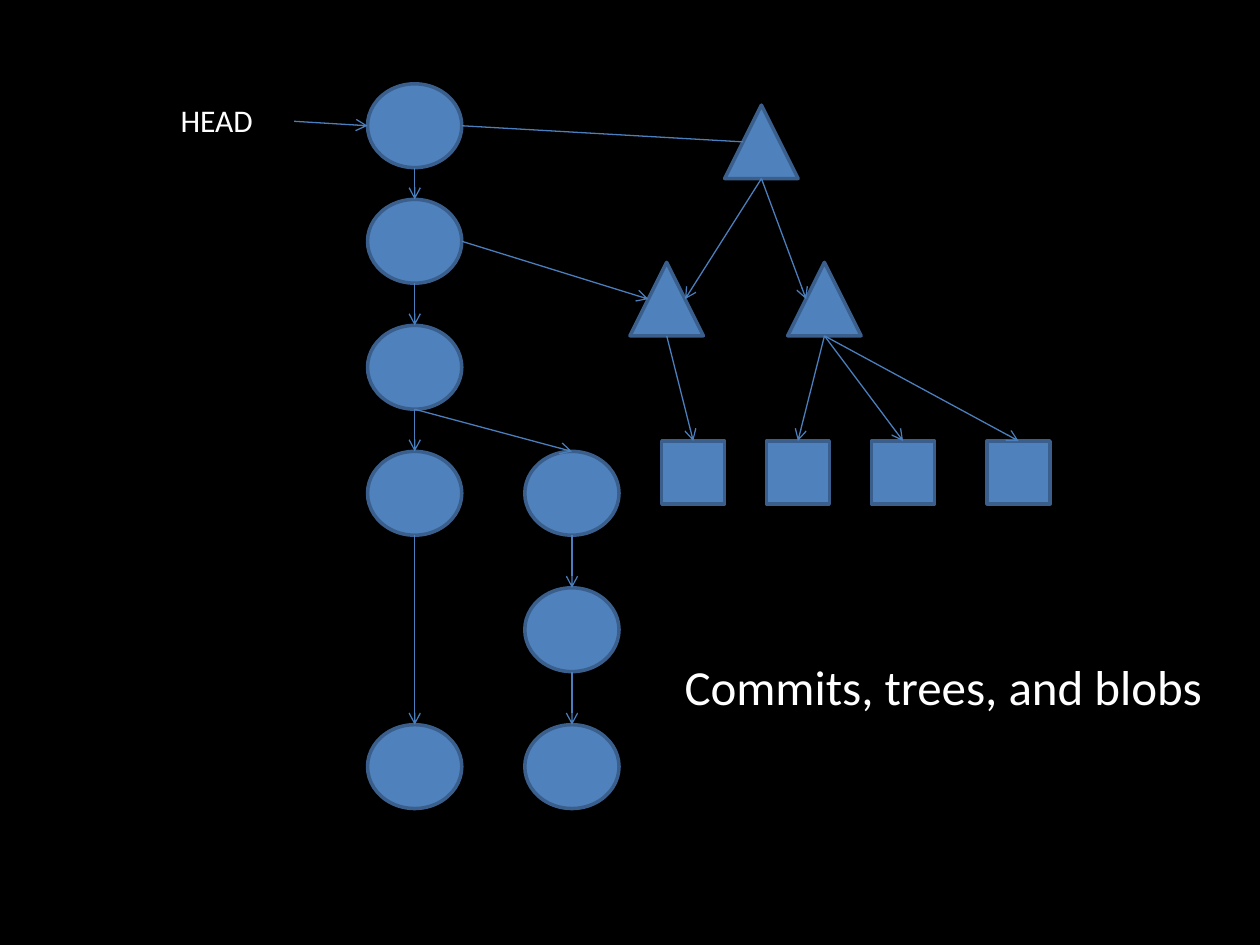
from dataclasses import dataclass

from pptx import Presentation
from pptx.dml.color import RGBColor
from pptx.enum.shapes import MSO_CONNECTOR, MSO_SHAPE
from pptx.enum.text import MSO_AUTO_SIZE
from pptx.oxml.ns import qn
from pptx.util import Cm, Pt
from lxml import etree

OVAL = MSO_SHAPE.OVAL
TRIANGLE = MSO_SHAPE.ISOSCELES_TRIANGLE
SQUARE = MSO_SHAPE.RECTANGLE
STRAIGHT = MSO_CONNECTOR.STRAIGHT
FIT_SHAPE = MSO_AUTO_SIZE.SHAPE_TO_FIT_TEXT

# Anchors as fractions of a shape's width and height
TOP, BOTTOM, LEFT, RIGHT = (0.5, 0), (0.5, 1), (0, 0.5), (1, 0.5)
SLOPE_LEFT, SLOPE_RIGHT = (0.25, 0.5), (0.75, 0.5)


@dataclass(frozen=True)
class Theme:
    background: RGBColor = RGBColor(0x00, 0x00, 0x00)
    text: RGBColor = RGBColor(0xFF, 0xFF, 0xFF)
    fill: RGBColor = RGBColor(0x4F, 0x81, 0xBD)
    outline: RGBColor = RGBColor(0x3A, 0x5F, 0x8C)
    arrow: RGBColor = RGBColor(0x4B, 0x7E, 0xBC)
    font: str = "Calibri"
    title_size: Pt = Pt(28)
    label_size: Pt = Pt(18)


THEME = Theme()
NODE_SIZES = {OVAL: (1.9, 1.69), TRIANGLE: (1.48, 1.48), SQUARE: (1.27, 1.27)}


def add_node(s, kind, x, y):
    w, h = NODE_SIZES[kind]
    sp = s.shapes.add_shape(kind, Cm(x), Cm(y), Cm(w), Cm(h))
    sp.shadow.inherit = False
    sp.fill.solid()
    sp.fill.fore_color.rgb = THEME.fill
    sp.line.color.rgb = THEME.outline
    sp.line.width = Pt(2)
    return sp


def add_text(s, text, x, y, w, h, size=THEME.label_size, color=THEME.text):
    sp = s.shapes.add_textbox(Cm(x), Cm(y), Cm(w), Cm(h))
    tf = sp.text_frame
    tf.word_wrap = True
    tf.auto_size = FIT_SHAPE
    r = tf.paragraphs[0].add_run()
    r.text = text
    r.font.name = THEME.font
    r.font.size = size
    r.font.color.rgb = color
    return sp


def anchor_point(sp, anchor):
    fx, fy = anchor
    return int(sp.left + fx * sp.width), int(sp.top + fy * sp.height)


def link(s, start, end, leave=BOTTOM, enter=TOP, arrow=True):
    """Draw a line between anchors of two shapes, with an arrowhead at the end."""
    cxn = s.shapes.add_connector(
        STRAIGHT, *anchor_point(start, leave), *anchor_point(end, enter))
    cxn.line.color.rgb = THEME.arrow
    cxn.line.width = Pt(0.75)
    if arrow:
        etree.SubElement(cxn.line._get_or_add_ln(), qn("a:tailEnd"), type="arrow")
    etree.SubElement(cxn._element.spPr, qn("a:effectLst"))


def link_chain(s, nodes):
    for start, end in zip(nodes, nodes[1:]):
        link(s, start, end)


def main():
    prs = Presentation()
    prs.slide_width, prs.slide_height = Cm(25.4), Cm(19.05)
    s = prs.slides.add_slide(prs.slide_layouts[6])
    s.background.fill.solid()
    s.background.fill.fore_color.rgb = THEME.background

    commits = [add_node(s, OVAL, 7.41, y) for y in (1.69, 4.02, 6.56, 9.1, 14.61)]
    branch = [add_node(s, OVAL, 10.58, y) for y in (9.1, 11.85, 14.61)]
    root = add_node(s, TRIANGLE, 14.61, 2.12)
    left_tree, right_tree = [add_node(s, TRIANGLE, x, 5.29) for x in (12.7, 15.88)]
    blobs = [add_node(s, SQUARE, x, 8.89) for x in (13.34, 15.45, 17.57, 19.9)]

    link_chain(s, commits)
    link_chain(s, [commits[2], *branch])
    link(s, commits[0], root, RIGHT, SLOPE_LEFT, arrow=False)
    link(s, commits[1], left_tree, RIGHT, SLOPE_LEFT)
    link(s, root, left_tree, enter=SLOPE_RIGHT)
    link(s, root, right_tree, enter=SLOPE_LEFT)
    link(s, left_tree, blobs[0])
    for blob in blobs[1:]:
        link(s, right_tree, blob)

    add_text(s, "Commits, trees, and blobs", 13.55, 13.12, 11.43, 1.45,
             size=THEME.title_size)
    head = add_text(s, "HEAD", 3.39, 1.91, 2.54, 1.07)
    link(s, head, commits[0], RIGHT, LEFT)

    prs.save("out.pptx")


if __name__ == "__main__":
    main()
